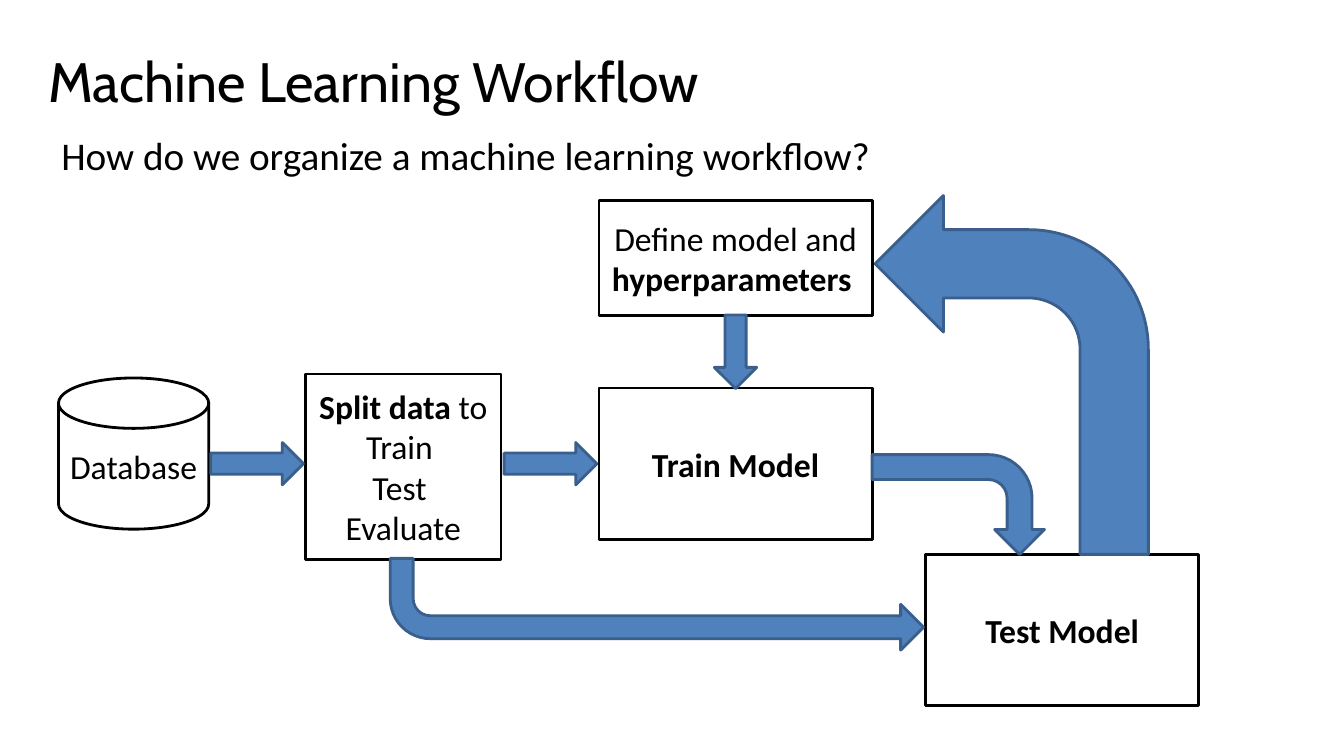
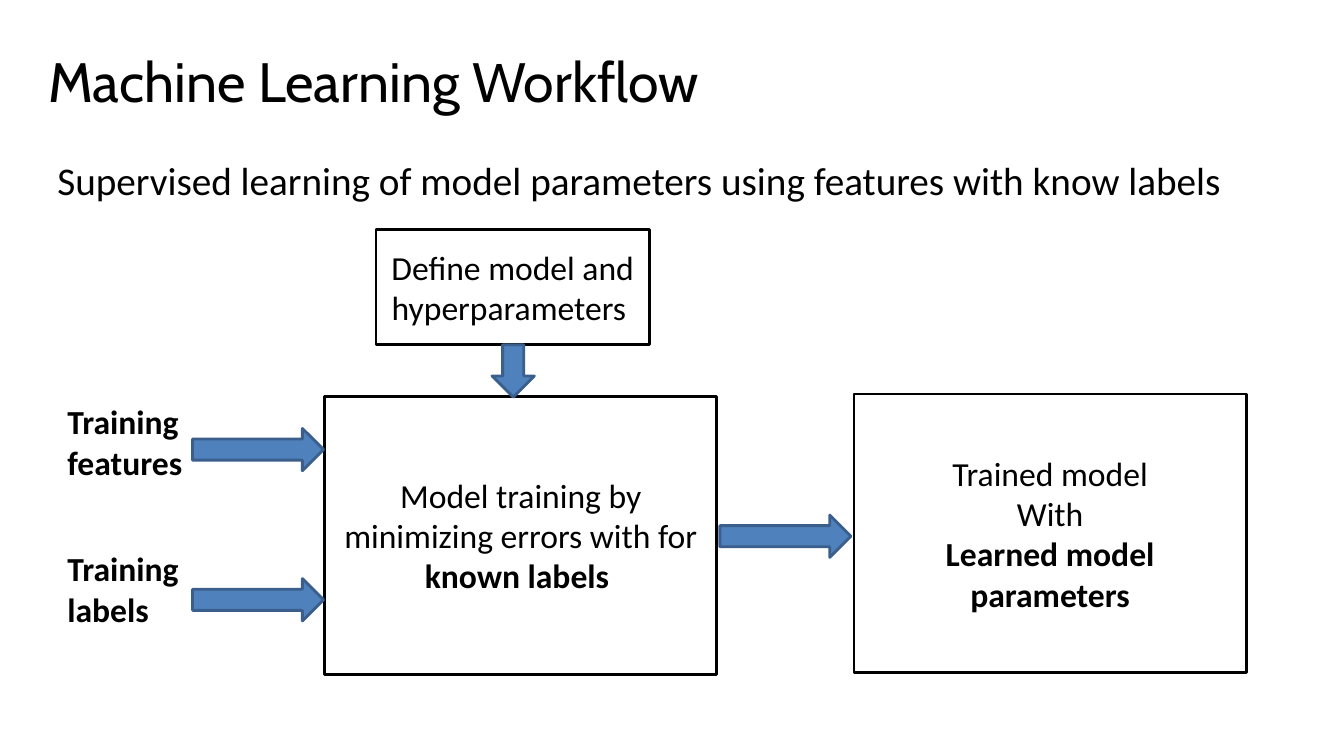
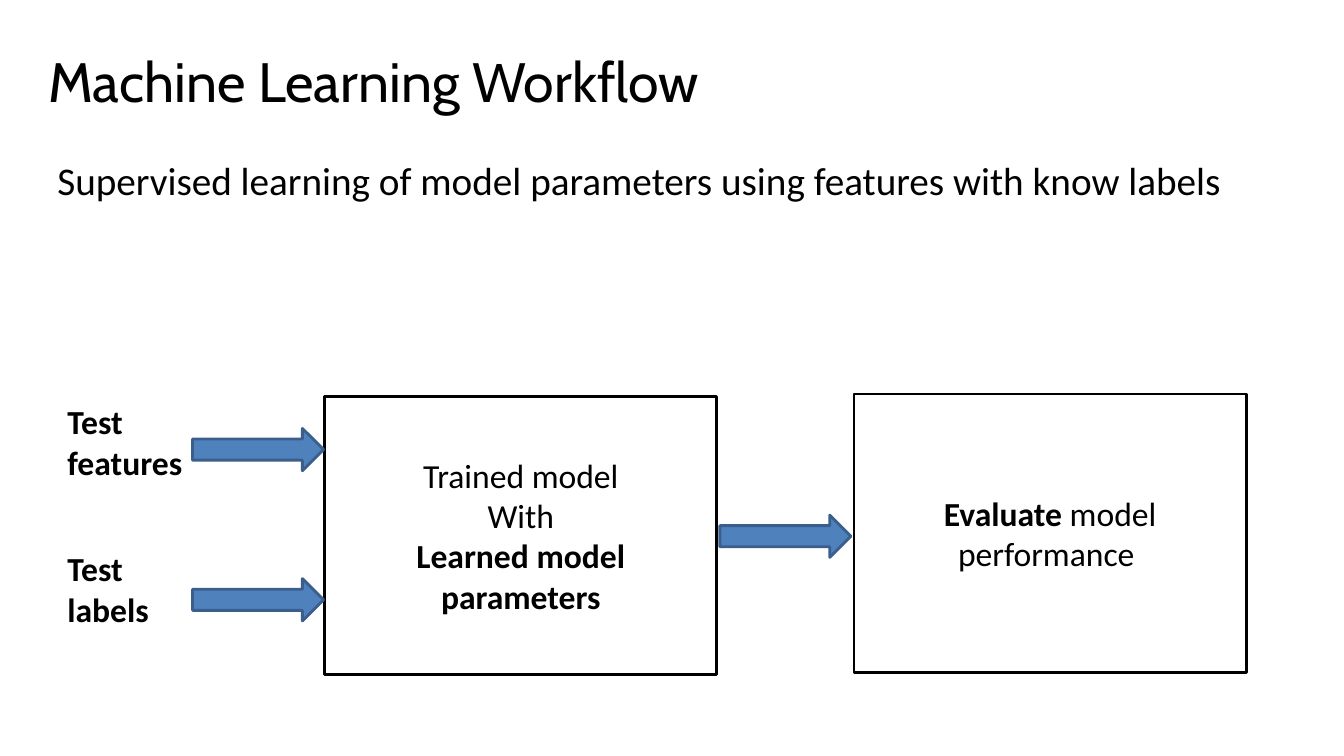
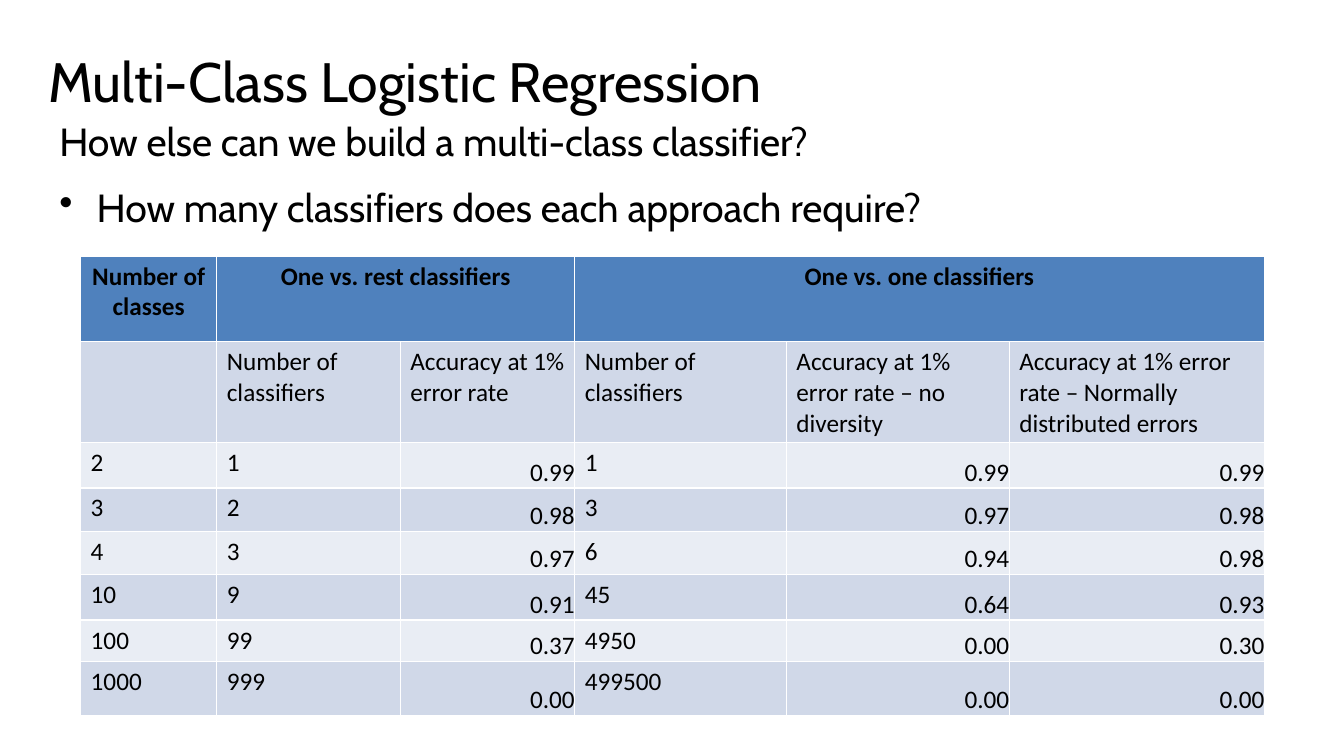
"""Build four slides on the machine learning workflow and multi-class classifiers."""
from dataclasses import dataclass

from pptx import Presentation
from pptx.dml.color import RGBColor
from pptx.enum.shapes import MSO_SHAPE
from pptx.enum.text import MSO_ANCHOR, PP_ALIGN
from pptx.oxml.xmlchemy import OxmlElement
from pptx.util import Inches, Pt


@dataclass(frozen=True)
class Theme:
    ink: str = "000000"
    accent: str = "4F81BD"
    accent_edge: str = "3A5F8C"
    band_dark: str = "D0D8E8"
    band_light: str = "E9EDF4"
    title_font: str = "Cabin"
    body_font: str = "Calibri"
    title_size: float = 39.6
    lead_size: int = 28
    label_size: int = 24
    cell_size: int = 18
    edge: int = 2


THEME = Theme()
RECT, DISK = MSO_SHAPE.RECTANGLE, MSO_SHAPE.FLOWCHART_MAGNETIC_DISK
STRAIGHT, BENT = MSO_SHAPE.RIGHT_ARROW, MSO_SHAPE.BENT_ARROW

WORKFLOW = "Machine Learning Workflow"
SUPERVISED = "Supervised learning of model parameters using features with know labels"
TRAINED_MODEL = ["Trained model", "With", "*Learned model parameters*"]

OVERVIEW_STEPS = [
    (DISK, (0.58, 3.75, 1.49, 1.5), ["Database"]),
    (RECT, (3.03, 3.71, 1.94, 1.84), ["*Split data* to", "Train ", "Test ", "Evaluate"]),
    (RECT, (5.94, 3.85, 2.71, 1.5), ["*Train Model*"]),
    (RECT, (5.94, 1.99, 2.71, 1.14), ["Define model and *hyperparameters *"]),
    (RECT, (9.18, 5.5, 2.71, 1.5), ["*Test Model*"]),
]
OVERVIEW_ARROWS = [
    (BENT, (3.87, 5.54, 5.29, 0.91), 0, "flipV"),
    (BENT, (9.01, 4.15, 0.99, 1.71), 90, None),
    (BENT, (8.68, 1.94, 2.71, 3.56), 0, "flipH"),
    (STRAIGHT, (2.09, 4.39, 0.92, 0.42), 0, None),
    (STRAIGHT, (5, 4.39, 0.92, 0.42), 0, None),
    (STRAIGHT, (6.93, 3.28, 0.73, 0.42), 90, None),
]

INPUT_TOPS = (3.93, 5.39)
STAGE_PLACES = [(3.22, 3.93, 3.89, 2.76), (8.47, 3.91, 3.89, 2.76)]
STAGE_ARROWS = [(1.91, 4.25), (1.91, 5.74), (7.14, 5.11)]
TRAINING_INPUTS = [["*Training features*"], ["*Training labels*"]]
TRAINING_STAGES = [["Model training by minimizing errors with for *known labels *"], TRAINED_MODEL]
TEST_INPUTS = [["*Test*", "*features*"], ["*Test*", "*labels*"]]
TEST_STAGES = [TRAINED_MODEL, ["*Evaluate *model performance "]]

COLUMN_WIDTHS = [1.35, 1.82, 1.73, 2.1, 2.21, 2.53]
ROW_HEIGHTS = [0.85, 0.74, 0.45, 0.43, 0.43, 0.45, 0.41, 0.54]
HEADER_SPANS = [(0, 0), (1, 2), (3, 5)]
ACCURACY_COLUMNS = {2, 4, 5}
CLASSIFIER_ROWS = [
    ["*Number of classes*", "*One vs. rest classifiers*", "", "*One vs. one classifiers*", "", ""],
    ["", "Number of classifiers", "Accuracy at 1% error rate", "Number of classifiers",
     "Accuracy at 1% error rate – no diversity",
     "Accuracy at 1% error rate – Normally distributed errors"],
    ["2", "1", "0.99", "1", "0.99", "0.99"],
    ["3", "2", "0.98", "3", "0.97", "0.98"],
    ["4", "3", "0.97", "6", "0.94", "0.98"],
    ["10", "9", "0.91", "45", "0.64", "0.93"],
    ["100", "99", "0.37", "4950", "0.00", "0.30"],
    ["1000", "999", "0.00", "499500", "0.00", "0.00"],
]


def rgb(code):
    return RGBColor.from_string(code)


def write(frame, lines, size=THEME.label_size, font=THEME.body_font,
          align=PP_ALIGN.LEFT, before=0):
    """Fill a text frame; words between asterisks are bold."""
    frame.word_wrap = True
    for index, line in enumerate(lines):
        paragraph = frame.paragraphs[0] if index == 0 else frame.add_paragraph()
        paragraph.alignment = align
        paragraph.space_before = Pt(before)
        for part, words in enumerate(line.split("*")):
            if words:
                run = paragraph.add_run()
                run.text = words
                run.font.name, run.font.size = font, Pt(size)
                run.font.bold = part % 2 == 1
                run.font.color.rgb = rgb(THEME.ink)


def add_text(slide, place, lines, **style):
    frame = slide.shapes.add_textbox(*map(Inches, place)).text_frame
    write(frame, lines, **style)
    return frame


def add_figure(slide, preset, place, edge, fill=None):
    figure = slide.shapes.add_shape(preset, *map(Inches, place))
    figure.shadow.inherit = False
    figure.line.color.rgb, figure.line.width = rgb(edge), Pt(THEME.edge)
    if fill:
        figure.fill.solid()
        figure.fill.fore_color.rgb = rgb(fill)
    else:
        figure.fill.background()
    return figure


def add_step(slide, preset, place, lines):
    step = add_figure(slide, preset, place, THEME.ink)
    step.text_frame.vertical_anchor = MSO_ANCHOR.MIDDLE
    write(step.text_frame, lines, align=PP_ALIGN.CENTER)


def add_arrow(slide, preset, place, turn=0, flip=None):
    arrow = add_figure(slide, preset, place, THEME.accent_edge, THEME.accent)
    arrow.rotation = turn
    if flip:
        arrow._element.spPr.xfrm.set(flip, "1")


def add_titled_slide(deck, title):
    slide = deck.slides.add_slide(deck.slide_layouts[6])
    add_text(slide, (0.38, 0.42, 12.6, 0.8), [title],
             size=THEME.title_size, font=THEME.title_font)
    return slide


def add_lead(slide, left, top, line):
    add_text(slide, (left, top, 12.6, 0.83), [line], size=THEME.lead_size, before=14)


def add_overview(deck):
    slide = add_titled_slide(deck, WORKFLOW)
    add_lead(slide, 0.51, 1.25, "How do we organize a machine learning workflow?")
    for step in OVERVIEW_STEPS:
        add_step(slide, *step)
    for arrow in OVERVIEW_ARROWS:
        add_arrow(slide, *arrow)


def add_stages(deck, inputs, stages):
    slide = add_titled_slide(deck, WORKFLOW)
    add_lead(slide, 0.47, 1.5, SUPERVISED)
    for place, lines in zip(STAGE_PLACES, stages):
        add_step(slide, RECT, place, lines)
    for top, lines in zip(INPUT_TOPS, inputs):
        add_text(slide, (0.57, top, 1.99, 0.91), lines)
    for left, top in STAGE_ARROWS:
        add_arrow(slide, STRAIGHT, (left, top, 1.3, 0.42))
    return slide


def add_bullet(paragraph, indent):
    properties = paragraph._p.get_or_add_pPr()
    properties.set("marL", str(Inches(indent)))
    properties.set("indent", str(Inches(-indent)))
    bullet = OxmlElement("a:buChar")
    bullet.set("char", "•")
    properties.append(bullet)


def add_classifier_table(slide):
    place = (0.8, 2.54, sum(COLUMN_WIDTHS), sum(ROW_HEIGHTS))
    table = slide.shapes.add_table(
        len(ROW_HEIGHTS), len(COLUMN_WIDTHS), *map(Inches, place)).table
    for column, width in zip(table.columns, COLUMN_WIDTHS):
        column.width = Inches(width)
    for row, height in zip(table.rows, ROW_HEIGHTS):
        row.height = Inches(height)
    for first, last in HEADER_SPANS:
        if last > first:
            table.cell(0, first).merge(table.cell(0, last))
    for r, row in enumerate(CLASSIFIER_ROWS):
        band = THEME.band_dark if r % 2 else THEME.band_light
        for c, words in enumerate(row):
            cell = table.cell(r, c)
            cell.fill.solid()
            cell.fill.fore_color.rgb = rgb(band if r else THEME.accent)
            align = PP_ALIGN.LEFT if r else PP_ALIGN.CENTER
            if r > 1 and c in ACCURACY_COLUMNS:
                align = PP_ALIGN.RIGHT
                cell.vertical_anchor = MSO_ANCHOR.BOTTOM
                cell.margin_left = cell.margin_right = 0
                cell.margin_top = cell.margin_bottom = 0
            write(cell.text_frame, [words], size=THEME.cell_size, align=align)


def add_multi_class(deck):
    slide = add_titled_slide(deck, "Multi-Class Logistic Regression")
    questions = add_text(
        slide, (0.49, 1.11, 12.6, 1.4),
        ["How else can we build a multi-class classifier?",
         "How many classifiers does each approach require?"],
        size=THEME.lead_size, font=THEME.title_font, before=14)
    add_bullet(questions.paragraphs[1], 0.37)
    add_classifier_table(slide)


def main():
    deck = Presentation()
    deck.slide_width, deck.slide_height = Inches(13.33), Inches(7.5)
    add_overview(deck)
    training = add_stages(deck, TRAINING_INPUTS, TRAINING_STAGES)
    add_step(training, RECT, (3.73, 2.28, 2.71, 1.14), ["Define model and hyperparameters "])
    add_arrow(training, STRAIGHT, (4.83, 3.47, 0.52, 0.42), 90)
    add_stages(deck, TEST_INPUTS, TEST_STAGES)
    add_multi_class(deck)
    deck.save("out.pptx")


if __name__ == "__main__":
    main()
